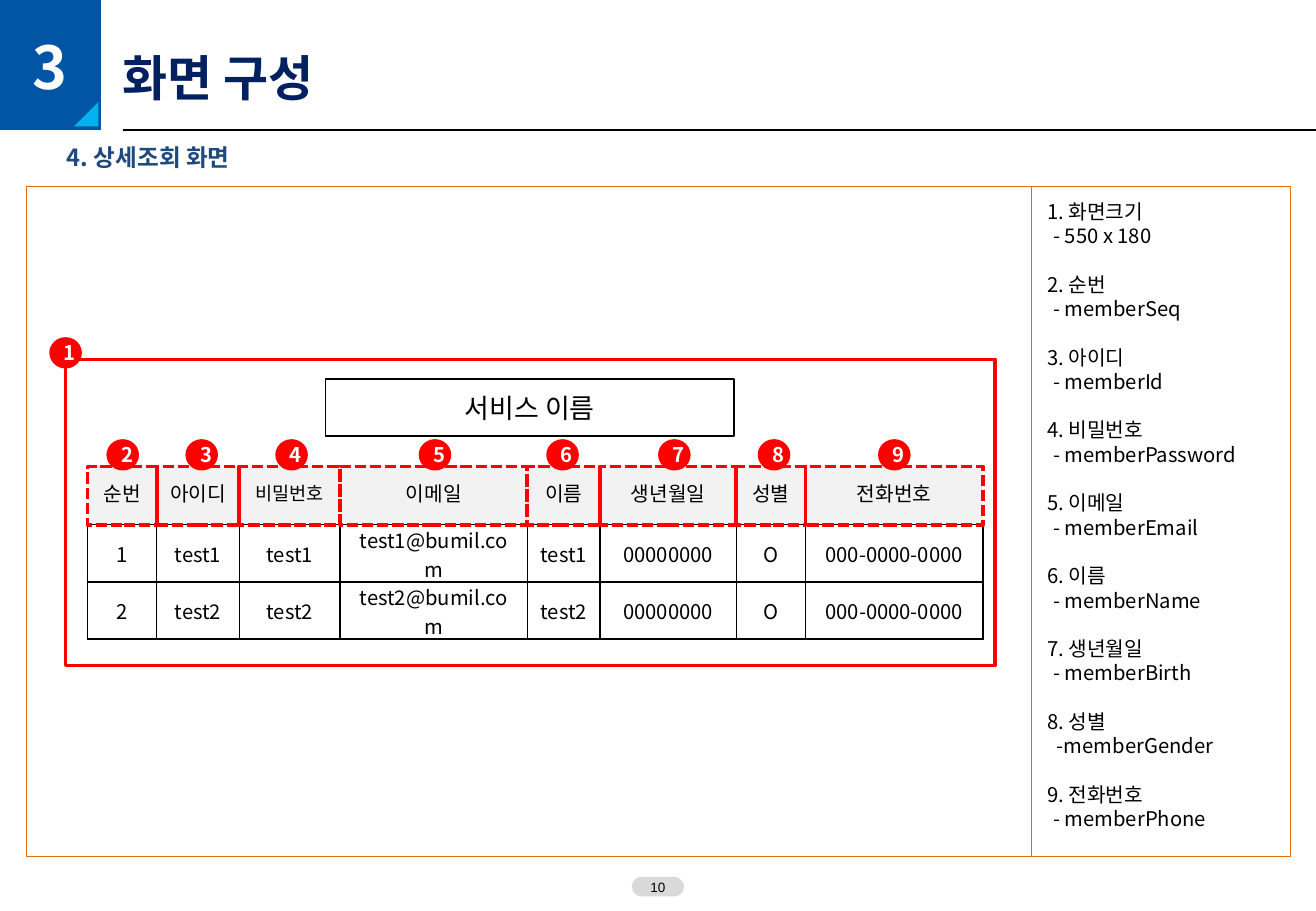
"""Build the member detail screen layout slide."""
from dataclasses import dataclass
from typing import Optional

from lxml.etree import SubElement
from pptx import Presentation
from pptx.dml.color import RGBColor
from pptx.enum.dml import MSO_LINE
from pptx.enum.shapes import MSO_CONNECTOR, MSO_SHAPE
from pptx.enum.text import MSO_ANCHOR, MSO_AUTO_SIZE, PP_ALIGN
from pptx.oxml.ns import qn
from pptx.util import Inches, Pt

SANS = "Noto Sans CJK KR"
ARIAL = "Arial"
BLACK = RGBColor(0x00, 0x00, 0x00)
WHITE = RGBColor(0xFF, 0xFF, 0xFF)
RED = RGBColor(0xFF, 0x00, 0x00)
NAVY = RGBColor(0x00, 0x20, 0x60)
BLUE = RGBColor(0x02, 0x55, 0xA5)
CYAN = RGBColor(0x05, 0xB0, 0xF1)
SLATE = RGBColor(0x1F, 0x49, 0x7D)
ORANGE = RGBColor(0xE4, 0x6C, 0x0B)
GREY = RGBColor(0xD9, 0xD9, 0xD9)
PALE = RGBColor(0xF2, 0xF2, 0xF2)


@dataclass(frozen=True)
class Box:
    left: float
    top: float
    width: float
    height: float

    def lengths(self) -> tuple:
        return tuple(Inches(v) for v in (self.left, self.top, self.width, self.height))


@dataclass(frozen=True)
class Style:
    size: float = 12
    color: RGBColor = BLACK
    bold: bool = False
    font: str = SANS


@dataclass(frozen=True)
class Column:
    header: str
    values: tuple
    width: float
    badge_left: float
    header_size: float = 12


@dataclass(frozen=True)
class Note:
    heading: str
    detail: str
    indent: float = 0.05


TABLE_LEFT, TABLE_TOP = 0.72, 3.84
HEADER_HEIGHT, ROW_HEIGHT = 0.48, 0.47
LINE_PITCH = Pt(14.4)
BADGE = Style(12, WHITE, True)

COLUMNS = [
    Column("순번", ("1", "2"), 0.57, 0.89),
    Column("아이디", ("test1", "test2"), 0.68, 1.54),
    Column("비밀번호", ("test1", "test2"), 0.83, 2.28, 11),
    Column("이메일", ("test1@bumil.com", "test2@bumil.com"), 1.54, 3.46),
    Column("이름", ("test1", "test2"), 0.6, 4.51),
    Column("생년월일", ("00000000", "00000000"), 1.12, 5.43),
    Column("성별", ("O", "O"), 0.57, 6.25),
    Column("전화번호", ("000-0000-0000", "000-0000-0000"), 1.46, 7.24),
]

NOTES = [
    Note("1. 화면크기", "- 550 x 180"),
    Note("2. 순번", "- memberSeq"),
    Note("3. 아이디", "- memberId"),
    Note("4. 비밀번호", "- memberPassword"),
    Note("5. 이메일", "- memberEmail"),
    Note("6. 이름", "- memberName"),
    Note("7. 생년월일", "- memberBirth"),
    Note("8. 성별", "-memberGender", 0.08),
    Note("9. 전화번호", "- memberPhone"),
]


def set_indent(para, left: float, first: float) -> None:
    properties = para._p.get_or_add_pPr()
    properties.set("marL", str(Inches(left)))
    properties.set("indent", str(Inches(first)))


def format_runs(para, style: Style) -> None:
    for span in para.runs:
        span.font.name = style.font
        span.font.size = Pt(style.size)
        span.font.bold = style.bold
        span.font.color.rgb = style.color
        SubElement(span._r.get_or_add_rPr(), qn("a:ea"), typeface=SANS)


def write(frame, text: str, style: Style, align=PP_ALIGN.LEFT):
    frame.text = text
    para = frame.paragraphs[0]
    para.alignment = align
    format_runs(para, style)
    return para


def add_shape(page, kind, box: Box, fill: Optional[RGBColor] = None,
              line: Optional[RGBColor] = None, width: float = 1):
    shape = page.shapes.add_shape(kind, *box.lengths())
    shape.shadow.inherit = False
    if fill is None:
        shape.fill.background()
    else:
        shape.fill.solid()
        shape.fill.fore_color.rgb = fill
    if line is None:
        shape.line.fill.background()
    else:
        shape.line.color.rgb = line
        shape.line.width = Pt(width)
    return shape


def add_line(page, start: tuple, end: tuple, color: RGBColor, width: float) -> None:
    line = page.shapes.add_connector(
        MSO_CONNECTOR.STRAIGHT, *(Inches(v) for v in start + end))
    line.line.color.rgb = color
    line.line.width = Pt(width)
    SubElement(line._element.spPr, qn("a:effectLst"))


def add_label(page, box: Box, text: str, style: Style):
    label = page.shapes.add_textbox(*box.lengths())
    label.text_frame.word_wrap = False
    return write(label.text_frame, text, style)


def add_badge(page, number: int, left: float, top: float) -> None:
    badge = add_shape(page, MSO_SHAPE.OVAL, Box(left, top, 0.24, 0.23), RED, RED, 2)
    para = write(badge.text_frame, str(number), BADGE, PP_ALIGN.CENTER)
    set_indent(para, 0, -0.22)


def fill_cell(cell, text: str, style: Style, fill: RGBColor, bordered: bool) -> None:
    write(cell.text_frame, text, style, PP_ALIGN.CENTER)
    cell.vertical_anchor = MSO_ANCHOR.MIDDLE
    cell.margin_top = 0
    cell.margin_bottom = 0 if bordered else Inches(0.05)
    properties = cell._tc.get_or_add_tcPr()
    for side in ("L", "R", "T", "B"):
        edge = SubElement(properties, qn(f"a:ln{side}"), w=str(Pt(1)))
        if bordered or side == "B":
            solid = SubElement(edge, qn("a:solidFill"))
            SubElement(solid, qn("a:srgbClr"), val=str(BLACK))
        else:
            SubElement(edge, qn("a:noFill"))
    cell.fill.solid()
    cell.fill.fore_color.rgb = fill


def add_member_table(page) -> None:
    box = Box(TABLE_LEFT, TABLE_TOP, sum(c.width for c in COLUMNS),
              HEADER_HEIGHT + 2 * ROW_HEIGHT)
    table = page.shapes.add_table(3, len(COLUMNS), *box.lengths()).table
    table.horz_banding = False
    for row, height in zip(table.rows, (HEADER_HEIGHT, ROW_HEIGHT, ROW_HEIGHT)):
        row.height = Inches(height)
    left = TABLE_LEFT
    for index, column in enumerate(COLUMNS):
        table.columns[index].width = Inches(column.width)
        fill_cell(table.cell(0, index), column.header, Style(column.header_size), PALE, False)
        for row, value in enumerate(column.values, 1):
            fill_cell(table.cell(row, index), value, Style(), WHITE, True)
        outline = add_shape(page, MSO_SHAPE.RECTANGLE,
                            Box(left, TABLE_TOP, column.width, HEADER_HEIGHT), None, RED, 2.25)
        outline.line.dash_style = MSO_LINE.SQUARE_DOT
        add_badge(page, index + 2, column.badge_left, 3.63)
        left += column.width


def add_notes(page) -> None:
    frame = page.shapes.add_textbox(*Box(8.52, 1.59, 2.06, 5.35).lengths()).text_frame
    frame.word_wrap = True
    frame.text = "\n".join(f"{note.heading}\n{note.detail}" for note in NOTES)
    for index, para in enumerate(frame.paragraphs):
        para.line_spacing = LINE_PITCH
        if index % 2:
            set_indent(para, NOTES[index // 2].indent, 0)
        elif index:
            para.space_before = LINE_PITCH
        format_runs(para, Style())


def add_heading(page) -> None:
    title = page.shapes.title
    title.left, title.top, title.width, title.height = Box(1.01, 0.39, 5.11, 0.49).lengths()
    frame = title.text_frame
    frame.auto_size = MSO_AUTO_SIZE.NONE
    frame.vertical_anchor = MSO_ANCHOR.MIDDLE
    frame.margin_left = frame.margin_right = frame.margin_top = frame.margin_bottom = 0
    write(frame, "화면 구성", Style(29, NAVY, True, ARIAL))
    add_shape(page, MSO_SHAPE.RECTANGLE, Box(0, 0, 0.83, 1.07), BLUE)
    add_label(page, Box(0.17, 0.2, 0.49, 0.69), "3", Style(35, WHITE, True))
    corner = add_shape(page, MSO_SHAPE.RIGHT_TRIANGLE, Box(0.61, 0.84, 0.2, 0.2), CYAN)
    corner._element.spPr.find(qn("a:xfrm")).set("flipH", "1")
    add_line(page, (1.01, 1.07), (10.83, 1.07), BLACK, 0.75)
    subtitle = add_label(page, Box(0.45, 1.13, 1.68, 0.34), "4. 상세조회 화면",
                         Style(14, SLATE, True))
    set_indent(subtitle, 0.42, -0.42)


def main() -> None:
    deck = Presentation()
    deck.slide_width, deck.slide_height = Inches(10.83), Inches(7.5)
    page = deck.slides.add_slide(deck.slide_layouts[5])
    add_heading(page)
    page_number = add_shape(page, MSO_SHAPE.ROUNDED_RECTANGLE, Box(5.2, 7.22, 0.43, 0.16), GREY)
    page_number.adjustments[0] = 0.5
    para = write(page_number.text_frame, "10", Style(8, font=ARIAL), PP_ALIGN.CENTER)
    set_indent(para, 0, -0.22)
    service = add_shape(page, MSO_SHAPE.RECTANGLE, Box(2.68, 3.12, 3.36, 0.47), None, BLACK)
    write(service.text_frame, "서비스 이름", Style(16), PP_ALIGN.CENTER)
    add_shape(page, MSO_SHAPE.RECTANGLE, Box(0.22, 1.53, 10.4, 5.52), None, ORANGE, 0.25)
    add_line(page, (8.49, 1.53), (8.49, 7.05), ORANGE, 0.25)
    add_shape(page, MSO_SHAPE.RECTANGLE, Box(0.54, 2.96, 7.65, 2.52), None, RED, 2)
    add_notes(page)
    add_badge(page, 1, 0.42, 2.79)
    add_member_table(page)
    deck.save("out.pptx")


if __name__ == "__main__":
    main()
